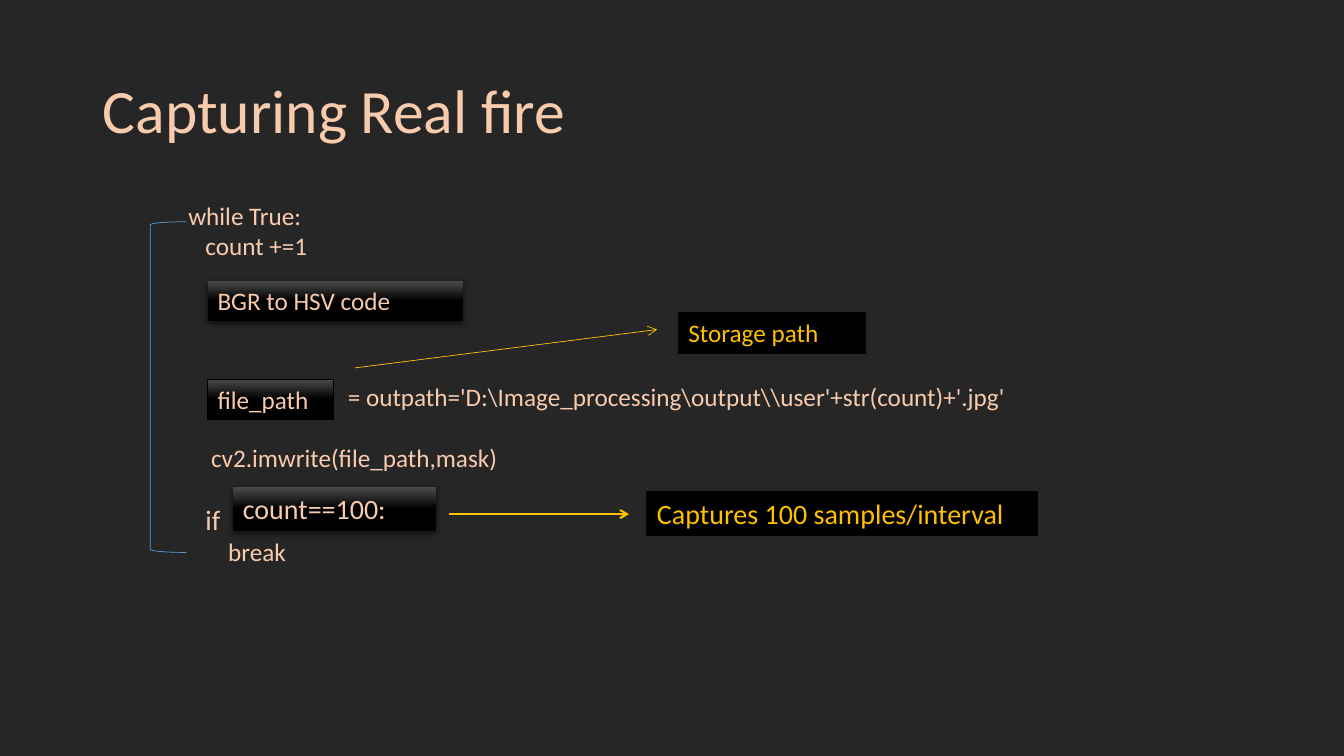
"""Build the slide that explains the fire capture loop."""
from dataclasses import dataclass

from lxml.etree import SubElement
from pptx import Presentation
from pptx.dml.color import RGBColor
from pptx.enum.shapes import MSO_CONNECTOR, MSO_SHAPE
from pptx.enum.text import MSO_ANCHOR, PP_ALIGN
from pptx.oxml import parse_xml
from pptx.oxml.ns import nsdecls, qn
from pptx.util import Pt


@dataclass(frozen=True)
class Theme:
    """Colours, font and type sizes of the slide."""
    font: str = "Calibri"
    back: str = "262626"
    peach: str = "F8CBAD"
    gold: str = "FFC000"
    blue: str = "5B9BD5"
    black: str = "000000"
    gloss: str = "4B4B4B"
    title: int = 44
    large: int = 20
    body: int = 18


T = Theme()
TITLE = ("Capturing Real fire", (66.2, 28.8, 828, 104.4))
CODE_AT = (127.4, 139.7, 671, 271.4)
SPACE_WIDTH = 4.07
CODE = [
    ("while True:", 0, 0, T.body),
    ("count +=1", 3, 0, T.body),
    (r"= outpath='D:\Image_processing\output\\user'+str(count)+'.jpg'", 28, 86, T.body),
    ("cv2.imwrite(file_path,mask)", 4, 22, T.body),
    ("if", 3, 21.5, T.large),
    ("break", 7, 0, T.body),
]
BRACKET_AT = (107.3, 158.4, 25.9, 236.2)
CODE_BOXES = [
    ("BGR to HSV code", (148.3, 200.5, 182.2, 29.1), T.body, True),
    ("count==100:", (166.3, 347.8, 145.4, 31.5), T.large, True),
    ("file_path", (148.3, 270.7, 90, 29.1), T.body, False),
]
NOTES = [
    ("Captures 100 samples/interval", (462.2, 351.2, 278.6, 31.5), T.large),
    ("Storage path", (484.6, 223.2, 133.2, 29.1), T.body),
]
ARROWS = [
    ((320.4, 367.2), (449.3, 367.2), 1.5),
    ((253.4, 262.8), (469.4, 235.4), 0.5),
]


def rgb(color):
    """Turn a hex colour into an RGBColor."""
    return RGBColor.from_string(color)


def pts(values):
    """Turn numbers into lengths in points."""
    return [Pt(v) for v in values]


def style(p, text, size, color):
    """Write one left-aligned paragraph."""
    p.text = text
    p.alignment = PP_ALIGN.LEFT
    p.font.name, p.font.size = T.font, Pt(size)
    p.font.color.rgb = rgb(color)


def set_line(line, color, width):
    """Give an outline its colour and width."""
    line.color.rgb, line.width = rgb(color), Pt(width)


def add_box(s, text, at, size, color):
    """Add a rectangle that holds one line of text."""
    sp = s.shapes.add_shape(MSO_SHAPE.RECTANGLE, *pts(at))
    sp.shadow.inherit = False
    tf = sp.text_frame
    tf.word_wrap, tf.vertical_anchor = True, MSO_ANCHOR.TOP
    style(tf.paragraphs[0], text, size, color)
    return sp


def add_code_box(s, text, at, size, raised):
    """Add a glossy box, raised by a shadow or framed by a line."""
    sp = add_box(s, text, at, size, T.peach)
    sp.fill.gradient()
    sp.fill.gradient_angle = 270
    for stop, pos, color in zip(sp.fill.gradient_stops, (0, 0.5), (T.gloss, T.black)):
        stop.position, stop.color.rgb = pos, rgb(color)
    if not raised:
        set_line(sp.line, T.black, 0.5)
        return
    sp.line.fill.background()
    sp._element.spPr.find(qn("a:effectLst")).append(parse_xml(
        f'<a:outerShdw {nsdecls("a")} blurRad="{Pt(4.5)}" dist="{Pt(1.5)}" dir="5400000" '
        f'algn="ctr" rotWithShape="0"><a:srgbClr val="{T.black}"><a:alpha val="63000"/>'
        '</a:srgbClr></a:outerShdw>'))


def add_note(s, text, at, size):
    """Add a black note with gold text."""
    sp = add_box(s, text, at, size, T.gold)
    sp.fill.solid()
    sp.fill.fore_color.rgb = rgb(T.black)
    set_line(sp.line, T.black, 1)


def add_arrow(s, start, end, width):
    """Add a gold arrow."""
    cx = s.shapes.add_connector(MSO_CONNECTOR.STRAIGHT, *pts(start + end))
    set_line(cx.line, T.gold, width)
    SubElement(cx.line._get_or_add_ln(), qn("a:tailEnd"), type="arrow")
    SubElement(cx._element.spPr, qn("a:effectLst"))


def add_title(s):
    """Fill and place the title."""
    text, at = TITLE
    sp = s.shapes.title
    sp.left, sp.top, sp.width, sp.height = pts(at)
    tf = sp.text_frame
    tf.vertical_anchor = MSO_ANCHOR.MIDDLE
    style(tf.paragraphs[0], text, T.title, T.peach)
    tf.paragraphs[0].line_spacing = 0.9


def add_code(s):
    """Add the code listing with its indents and gaps."""
    tf = s.shapes.add_textbox(*pts(CODE_AT)).text_frame
    tf.word_wrap = True
    for i, (text, indent, gap, size) in enumerate(CODE):
        p = tf.add_paragraph() if i else tf.paragraphs[0]
        style(p, text, size, T.peach)
        p.space_before = Pt(gap)
        p._p.get_or_add_pPr().set("marL", str(Pt(indent * SPACE_WIDTH)))


def add_bracket(s):
    """Add the bracket that spans the loop."""
    sp = s.shapes.add_shape(MSO_SHAPE.LEFT_BRACKET, *pts(BRACKET_AT))
    sp.shadow.inherit = False
    sp.fill.background()
    set_line(sp.line, T.blue, 0.5)


def main():
    """Build and save the slide."""
    prs = Presentation()
    prs.slide_width, prs.slide_height = Pt(960), Pt(540)
    s = prs.slides.add_slide(prs.slide_layouts[5])
    s.background.fill.solid()
    s.background.fill.fore_color.rgb = rgb(T.back)
    add_title(s)
    add_code(s)
    add_bracket(s)
    for box in CODE_BOXES:
        add_code_box(s, *box)
    for note in NOTES:
        add_note(s, *note)
    for arrow in ARROWS:
        add_arrow(s, *arrow)
    prs.save("out.pptx")


if __name__ == "__main__":
    main()
